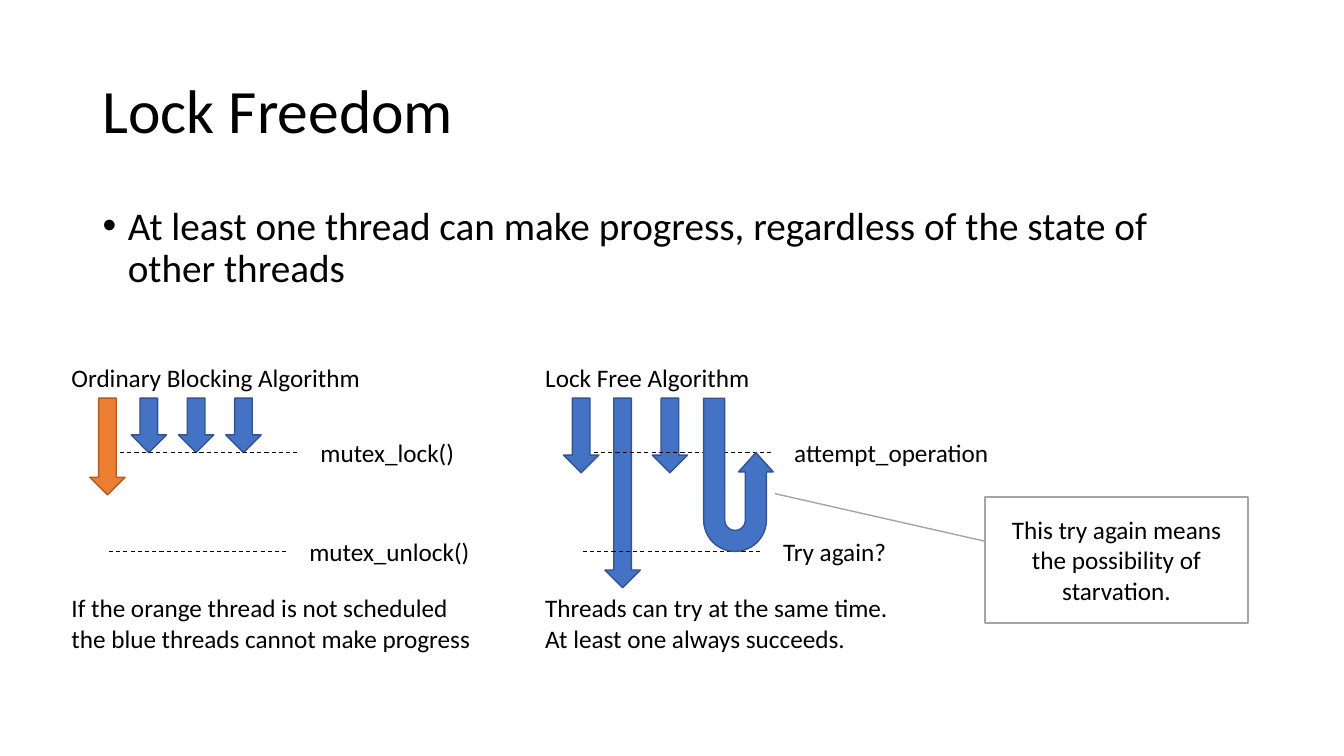
from dataclasses import dataclass

from lxml import etree
from pptx import Presentation
from pptx.dml.color import RGBColor
from pptx.enum.dml import MSO_LINE
from pptx.enum.shapes import MSO_CONNECTOR, MSO_SHAPE
from pptx.enum.text import MSO_ANCHOR, MSO_AUTO_SIZE, PP_ALIGN
from pptx.oxml.ns import qn
from pptx.util import Inches, Pt

DOWN_ARROW = MSO_SHAPE.DOWN_ARROW
U_TURN_ARROW = MSO_SHAPE.U_TURN_ARROW
LINE_CALLOUT = MSO_SHAPE.LINE_CALLOUT_1
STRAIGHT = MSO_CONNECTOR.STRAIGHT
DASH = MSO_LINE.DASH
MIDDLE = MSO_ANCHOR.MIDDLE
TOP = MSO_ANCHOR.TOP
LEFT = PP_ALIGN.LEFT
CENTER = PP_ALIGN.CENTER
GROW = MSO_AUTO_SIZE.SHAPE_TO_FIT_TEXT
FIXED = MSO_AUTO_SIZE.NONE

SLIDE_WIDTH = Inches(13.333)
SLIDE_HEIGHT = Inches(7.5)


@dataclass(frozen=True)
class Theme:
    font: str = "Calibri"
    title_size: int = 44
    body_size: int = 28
    label_size: int = 18
    text: str = "000000"
    paper: str = "FFFFFF"
    blue: tuple = ("4472C4", "325491")
    orange: tuple = ("ED7D31", "AF5C24")
    callout_line: str = "A5A5A5"
    outline_width: float = 1
    dash_width: float = 0.75


THEME = Theme()


# All lengths below are percentages of the slide's width or height
@dataclass(frozen=True)
class Box:
    left: float
    top: float
    width: float
    height: float

    def place(self) -> tuple:
        return (across(self.left), down(self.top),
                across(self.width), down(self.height))


@dataclass(frozen=True)
class Thread:
    left: float
    height: float
    colours: tuple = THEME.blue


@dataclass(frozen=True)
class Step:
    left: float
    top: float
    label: str
    label_width: float


@dataclass(frozen=True)
class Panel:
    left: float
    heading: str
    heading_width: float
    caption: str
    caption_width: float
    caption_wraps: bool
    threads: tuple
    steps: tuple


HEADING_TOP, THREAD_TOP, CAPTION_TOP = 47.33, 52.67, 77.73
LINE_HEIGHT, CAPTION_HEIGHT = 5.33, 9.47
THREAD_WIDTH = 2.63
THREAD_LEFTS = (2.1, 5.18, 8.7, 12.22)
STEP_LEFTS, STEP_TOPS = (4.35, 3.52), (59.87, 72.93)
STEP_LENGTH, LABEL_GAP = 13.35, 0.83


def make_threads(heights: tuple, first: tuple = THEME.blue) -> tuple:
    return tuple(Thread(left, height, THEME.blue if index else first)
                 for index, (left, height) in enumerate(zip(THREAD_LEFTS, heights)))


def make_steps(*labels: tuple) -> tuple:
    return tuple(Step(left, top, *label)
                 for left, top, label in zip(STEP_LEFTS, STEP_TOPS, labels))


PANELS = (
    Panel(4.58, "Ordinary Blocking Algorithm", 23.18,
          "If the orange thread is not scheduled\nthe blue threads cannot make progress",
          31.58, False, make_threads((12.8, 7.2, 7.2, 7.2), THEME.orange),
          make_steps(("mutex_lock()", 11.55), ("mutex_unlock()", 13.58))),
    Panel(39.83, "Lock Free Algorithm", 16.88,
          "Threads can try at the same time. At least one always succeeds.",
          28.13, True, make_threads((9.87, 25.07, 9.87)),
          make_steps(("attempt_operation", 16.2), ("Try again?", 9.22))),
)


def across(share: float) -> int:
    return round(SLIDE_WIDTH * share / 100)


def down(share: float) -> int:
    return round(SLIDE_HEIGHT * share / 100)


def apply_format(target, values: dict) -> None:
    for name, value in values.items():
        setattr(target, name, value)


def write_text(shape, text: str, size: float, frame_format: dict,
               paragraph_format: dict, bullet: bool = False) -> None:
    frame = shape.text_frame
    frame.text = text
    apply_format(frame, frame_format)
    for paragraph in frame.paragraphs:
        if bullet:
            add_bullet(paragraph)
        apply_format(paragraph, paragraph_format)
        font = paragraph.font
        apply_format(font, {"name": THEME.font, "size": Pt(size)})
        font.color.rgb = RGBColor.from_string(THEME.text)


def add_bullet(paragraph) -> None:
    properties = paragraph._p.get_or_add_pPr()
    indent = Inches(0.25)
    properties.set("marL", str(indent))
    properties.set("indent", str(-indent))
    etree.SubElement(properties, qn("a:buFont")).set("typeface", "Arial")
    etree.SubElement(properties, qn("a:buChar")).set("char", "•")


def add_label(slide, box: Box, text: str, wraps: bool = False) -> None:
    write_text(slide.shapes.add_textbox(*box.place()), text, THEME.label_size,
               {"word_wrap": wraps, "auto_size": GROW, "vertical_anchor": TOP},
               {"alignment": LEFT})


def add_filled(slide, kind, box: Box, fill: str, line: str, adjustments: tuple = ()):
    shape = slide.shapes.add_shape(kind, *box.place())
    shape.shadow.inherit = False
    shape.fill.solid()
    shape.fill.fore_color.rgb = RGBColor.from_string(fill)
    shape.line.color.rgb = RGBColor.from_string(line)
    shape.line.width = Pt(THEME.outline_width)
    for index, value in enumerate(adjustments):
        shape.adjustments[index] = value
    return shape


def add_step(slide, panel: Panel, step: Step) -> None:
    start = panel.left + step.left
    end = start + STEP_LENGTH
    height = down(step.top)
    connector = slide.shapes.add_connector(STRAIGHT, across(start), height, across(end), height)
    apply_format(connector.line, {"width": Pt(THEME.dash_width), "dash_style": DASH})
    connector.line.color.rgb = RGBColor.from_string(THEME.text)
    etree.SubElement(connector._element.spPr, qn("a:effectLst"))
    add_label(slide, Box(end + LABEL_GAP, step.top - LINE_HEIGHT / 2,
                         step.label_width, LINE_HEIGHT), step.label)


def add_panel(slide, panel: Panel) -> None:
    add_label(slide, Box(panel.left, HEADING_TOP, panel.heading_width, LINE_HEIGHT),
              panel.heading)
    for thread in panel.threads:
        box = Box(panel.left + thread.left, THREAD_TOP, THREAD_WIDTH, thread.height)
        add_filled(slide, DOWN_ARROW, box, *thread.colours)
    for step in panel.steps:
        add_step(slide, panel, step)
    add_label(slide, Box(panel.left, CAPTION_TOP, panel.caption_width, CAPTION_HEIGHT),
              panel.caption, panel.caption_wraps)


def main() -> None:
    presentation = Presentation()
    apply_format(presentation, {"slide_width": SLIDE_WIDTH, "slide_height": SLIDE_HEIGHT})
    slide = presentation.slides.add_slide(presentation.slide_layouts[6])

    # Title and main statement
    title = slide.shapes.add_textbox(*Box(6.9, 5.33, 86.25, 19.33).place())
    write_text(title, "Lock Freedom", THEME.title_size,
               {"word_wrap": True, "auto_size": FIXED, "vertical_anchor": MIDDLE},
               {"line_spacing": 0.9})
    statement = slide.shapes.add_textbox(*Box(6.9, 26.67, 86.25, 13.47).place())
    write_text(statement, "At least one thread can make progress, "
               "regardless of the state of other threads", THEME.body_size,
               {"word_wrap": True, "auto_size": FIXED, "vertical_anchor": TOP},
               {"line_spacing": 0.9}, bullet=True)

    # The two algorithms side by side
    for panel in PANELS:
        add_panel(slide, panel)

    # Thread that turns back to retry
    retry = add_filled(slide, U_TURN_ARROW, Box(52.36, THREAD_TOP, 5.18, 20.27),
                       *THEME.blue, (0.302, 0.25, 0.277, 0.5, 0.645))
    retry.rotation = 180
    retry._element.spPr.xfrm.set("flipH", "1")

    # Starvation callout
    callout = add_filled(slide, LINE_CALLOUT, Box(73.28, 65.73, 19.58, 16.67),
                         THEME.paper, THEME.callout_line, (0.351, -0.002, -0.026, -0.798))
    write_text(callout, "This try again means the possibility of starvation.",
               THEME.label_size, {"word_wrap": True, "vertical_anchor": MIDDLE},
               {"alignment": CENTER})

    presentation.save("out.pptx")


if __name__ == "__main__":
    main()
